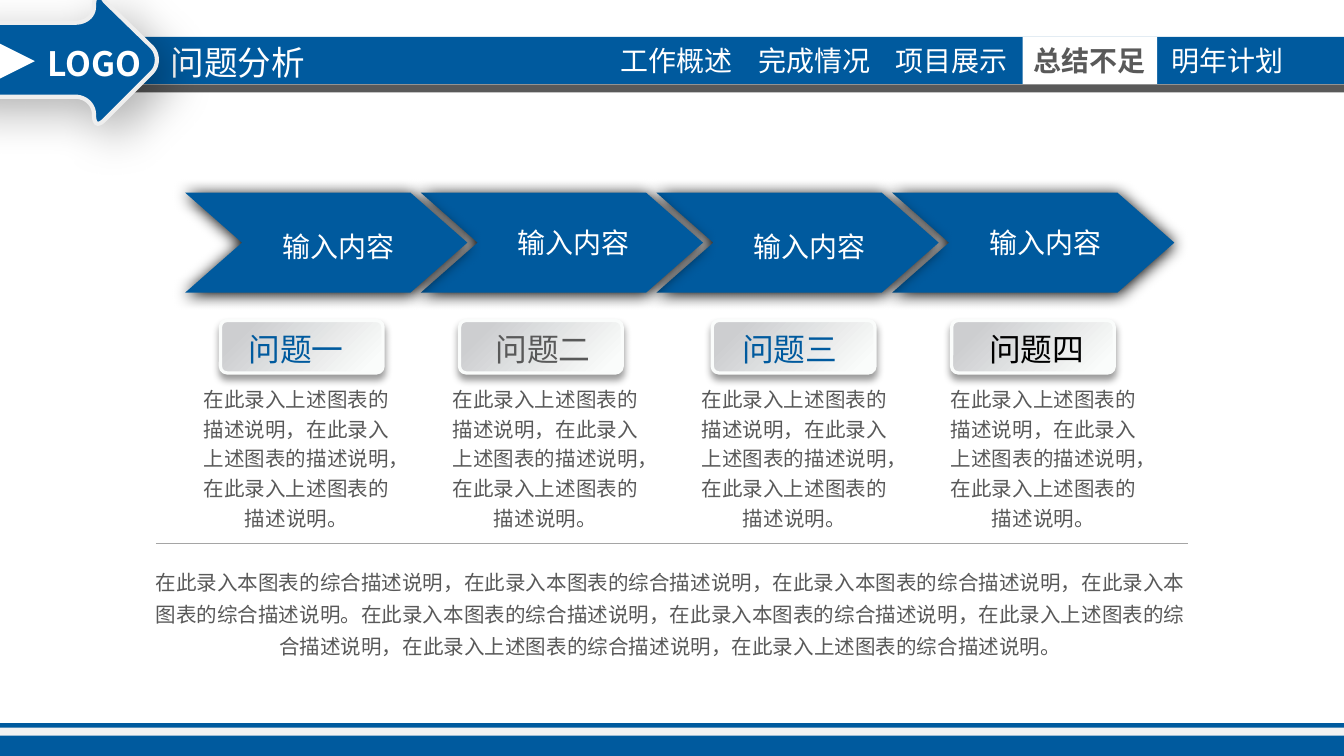
from dataclasses import dataclass

from lxml import etree
from pptx import Presentation
from pptx.dml.color import RGBColor
from pptx.enum import shapes as kinds, text as txt
from pptx.oxml import ns
from pptx.util import Pt


@dataclass(frozen=True)
class Theme:
    blue: str = "005A9E"
    gray: str = "595959"
    white: str = "FFFFFF"
    black: str = "000000"
    pale: str = "F2F2F2"
    edge: str = "EEEEEE"
    rule: str = "A5A5A5"
    dark: str = "CDCED0"
    light: str = "FAFCFB"
    sans: str = "Noto Sans CJK SC"
    latin: str = "Arial"
    head: int = 18
    title: int = 17
    nav: int = 15
    body: int = 11


T = Theme()
SHAPE = kinds.MSO_SHAPE
ALIGN = txt.PP_ALIGN
TIGHT = (5.04, 2.88)
WIDE = (7.2, 3.6)


def rgb(code):
    return RGBColor.from_string(code)


def pts(box):
    return [Pt(v) for v in box]


def shade(shape, alpha, blur, dist, angle):
    """Add an outer shadow; lengths in points, alpha in percent."""
    fx = etree.SubElement(shape._element.spPr, ns.qn("a:effectLst"))
    cast = etree.SubElement(fx, ns.qn("a:outerShdw"), blurRad=str(Pt(blur)),
                            dist=str(Pt(dist)), dir=str(angle * 60000),
                            algn="ctr", rotWithShape="0")
    tint = etree.SubElement(cast, ns.qn("a:srgbClr"), val=T.black)
    etree.SubElement(tint, ns.qn("a:alpha"), val=str(alpha * 1000))


def paint(shape, fill, line=None, width=0, shadow=None):
    if shadow:
        shade(shape, *shadow)
    else:
        shape.shadow.inherit = False
    if fill:
        shape.fill.solid()
        shape.fill.fore_color.rgb = rgb(fill)
    if line:
        shape.line.color.rgb = rgb(line)
        shape.line.width = Pt(width)
    else:
        shape.line.fill.background()
    return shape


def block(slide, box, fill, kind=SHAPE.RECTANGLE):
    return paint(slide.shapes.add_shape(kind, *pts(box)), fill)


def write(shape, words, size, color, align=ALIGN.CENTER, bold=None,
          font=T.sans, mid=False, space=None, wrap=True, pad=TIGHT):
    frame = shape.text_frame
    frame.word_wrap = wrap
    frame.margin_left = frame.margin_right = Pt(pad[0])
    frame.margin_top = frame.margin_bottom = Pt(pad[1])
    frame.vertical_anchor = (txt.MSO_ANCHOR.MIDDLE if mid
                             else txt.MSO_ANCHOR.TOP)
    para = frame.paragraphs[0]
    para.alignment = align
    if space:
        para.line_spacing = space
    run = para.add_run()
    run.text = words
    run.font.size = Pt(size)
    run.font.bold = bold
    run.font.name = font
    run.font.color.rgb = rgb(color)
    etree.SubElement(run._r.rPr, ns.qn("a:ea"), typeface=font)


def label(slide, box, *args, **opts):
    write(slide.shapes.add_textbox(*pts(box)), *args, **opts)


def outline(slide, x, y, start, steps):
    """Close a path of line ends (2 values) and Bezier curves (6 values)."""
    spots, last = [], start
    for step in steps:
        if len(step) == 2:
            spots.append(step)
        else:
            hull = [last, step[:2], step[2:4], step[4:]]
            for n in range(1, 13):
                t = n / 12
                mix = ((1 - t) ** 3, 3 * t * (1 - t) ** 2,
                       3 * t * t * (1 - t), t ** 3)
                spots.append(tuple(sum(m * p[k] for m, p in zip(mix, hull))
                                   for k in (0, 1)))
        last = spots[-1]
    draft = slide.shapes.build_freeform(Pt(x + start[0]), Pt(y + start[1]))
    draft.add_line_segments([(Pt(x + a), Pt(y + b)) for a, b in spots])
    return draft.convert_to_shape()


def footer(slide, x, y, w, h):
    block(slide, (x, y, w, h), T.blue)
    block(slide, (x, y + 2.5, w, 4.3), T.pale)


def header(slide, x, y, w, h):
    block(slide, (x, y, w, h), T.blue)
    block(slide, (x, y + h + 0.4, w, 4.3), T.gray)
    # Navigation, with the current section marked
    names = ["工作概述", "完成情况", "项目展示", "总结不足", "明年计划"]
    for i, name in enumerate(names):
        box = (x + 326.2 + 73.9 * i, y, 72, h)
        if name == "总结不足":
            write(block(slide, box, T.white), name, T.nav, T.gray,
                  bold=True, mid=True)
        else:
            label(slide, box, name, T.nav, T.white, mid=True)
    label(slide, (x + 86.4, y, 83.5, 27.4), "问题分析", T.head, T.white,
          ALIGN.LEFT, wrap=False)


def badge(slide, x, y):
    # Rounded arrow
    steps = [
        (85, 0, 86.4, 1.5, 87.2, 2.9), (112.4, 27.4),
        (116, 31, 116, 37.5, 112.4, 41.1), (87.2, 66.3),
        (83.6, 69.9, 81.4, 69.2, 81.4, 63.4),
        (81.4, 58.4, 77.1, 54, 71.3, 54), (9.4, 54),
        (4.4, 54, 0, 49, 0, 44), (0, 24.5),
        (0, 19.5, 4.4, 14.4, 9.4, 14.4), (71.3, 14.4),
        (77.1, 14.4, 81.4, 10.8, 81.4, 5.8),
        (81.4, 2.2, 82.1, 0, 83.6, 0)]
    paint(outline(slide, x, y, (83.6, 0), steps), T.blue, T.edge, 2.25,
          (30, 25, 10, 45))
    label(slide, (x + 51.2, y + 22.4, 72, 27.4), "LOGO", T.head, T.white,
          ALIGN.LEFT, bold=True)
    mark = block(slide, (x + 27.4, y + 23.8, 22.3, 22.3), T.white,
                 SHAPE.FLOWCHART_EXTRACT)
    mark.rotation = 90


def chevrons(slide, x, y, w, h):
    step, tip = 126.25, 30.5
    for i in reversed(range(4)):
        left = x + step * i
        path = [(w - tip, 0), (w, h / 2), (w - tip, h), (0, h),
                (tip, h / 2), (0, 0)]
        paint(outline(slide, left, y, (0, 0), path), T.blue,
              shadow=(100, 8.5, 1, 90))
        label(slide, (left + 18, y + h / 2 - 13, 128, 26), "输入内容",
              T.nav, T.white, font=T.latin, mid=True, pad=WIDE,
              space=None if i % 2 else 1.2)


def issues(slide, x, y, w):
    names = [("问题一", T.blue), ("问题二", T.gray),
             ("问题三", T.blue), ("问题四", T.black)]
    pills = (118.1, 246.2, 381.6, 509.8)
    story = ("在此录入上述图表的描述说明，在此录入上述图表的描述说明，"
             "在此录入上述图表的描述说明。")
    for i, ((name, color), left) in enumerate(zip(names, pills)):
        # Plate
        plate = slide.shapes.add_shape(SHAPE.ROUNDED_RECTANGLE,
                                       *pts((left, y, 87.1, 28.1)))
        plate.adjustments[0] = 0.125
        plate.fill.gradient()
        plate.fill.gradient_angle = 315
        looks = ((0.15, T.dark), (0.92, T.light))
        for stop, (spot, tone) in zip(plate.fill.gradient_stops, looks):
            stop.position = spot
            stop.color.rgb = rgb(tone)
        paint(plate, None, T.light, 1.75, (40, 4, 3, 90))
        # Heading and text
        label(slide, (x + 24.5 + 132.3 * i, y + 2.2, 62.6, 25.9), name,
              T.title, color, wrap=False)
        label(slide, (x + 133.4 * i, y + 30.2, w, 85.7), story, T.body,
              T.gray, space=1.2)


def summary(slide, x, y, w, h):
    rule = slide.shapes.add_connector(
        kinds.MSO_CONNECTOR.STRAIGHT,
        *pts((x + 8.6, y - 7.9, x + w - 7.2, y - 7.9)))
    rule.line.color.rgb = rgb(T.rule)
    rule.line.width = Pt(0.5)
    etree.SubElement(rule._element.spPr, ns.qn("a:effectLst"))
    chart = "在此录入本图表的综合描述说明"
    above = "在此录入上述图表的综合描述说明"
    words = ("，".join([chart] * 4) + "。"
             + "，".join([chart] * 2 + [above] * 3) + "。")
    label(slide, (x, y, w, h), words, T.body, T.gray, space=1.3)


def main():
    deck = Presentation()
    deck.slide_width, deck.slide_height = Pt(720), Pt(405)
    slide = deck.slides.add_slide(deck.slide_layouts[6])
    footer(slide, 0, 387.4, 720, 17.6)
    header(slide, 0, 19.7, 720, 25.2)
    badge(slide, -31, -2.2)
    chevrons(slide, 99.2, 103.2, 151.2, 53.6)
    issues(slide, 102.8, 171.7, 112)
    summary(slide, 74.9, 298.8, 568.8, 57.6)
    deck.save("out.pptx")


if __name__ == "__main__":
    main()
